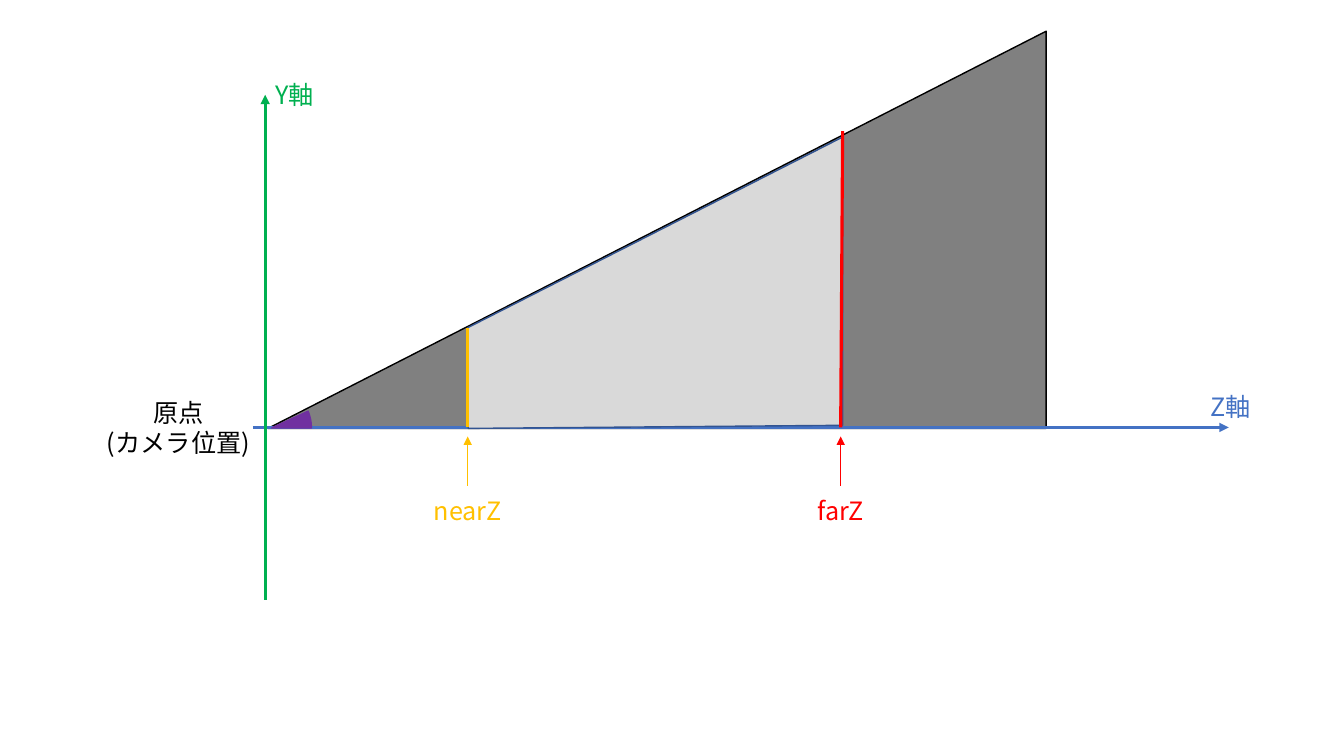
from dataclasses import dataclass

from lxml.etree import SubElement
from pptx import Presentation
from pptx.dml.color import RGBColor
from pptx.enum.shapes import MSO_CONNECTOR, MSO_SHAPE
from pptx.enum.text import MSO_AUTO_SIZE, PP_ALIGN
from pptx.oxml.ns import qn
from pptx.util import Pt


@dataclass(frozen=True)
class Theme:
    font: str = "Noto Sans CJK JP"
    text_size: float = 18
    thin: float = 1
    thick: float = 2.25
    black: str = "000000"
    clipped: str = "808080"
    visible: str = "D9D9D9"
    visible_edge: str = "325491"
    z_axis: str = "4472C4"
    y_axis: str = "00B050"
    near: str = "FFC000"
    far: str = "FF0000"
    angle: str = "7030A0"


@dataclass(frozen=True)
class Box:
    left: float
    top: float
    width: float
    height: float

    @property
    def right(self):
        return self.left + self.width

    @property
    def bottom(self):
        return self.top + self.height

    def lengths(self):
        return Pt(self.left), Pt(self.top), Pt(self.width), Pt(self.height)


THEME = Theme()
LABEL_WIDTH, LABEL_HEIGHT = 82.8, 29


def paint(shape, fill, line):
    shape.shadow.inherit = False
    shape.fill.solid()
    shape.fill.fore_color.rgb = RGBColor.from_string(fill)
    shape.line.color.rgb = RGBColor.from_string(line)
    shape.line.width = Pt(THEME.thin)


def add_line(slide, start, end, color, width, arrow=False):
    points = [Pt(value) for value in (*start, *end)]
    line = slide.shapes.add_connector(MSO_CONNECTOR.STRAIGHT, *points)
    line.line.color.rgb = RGBColor.from_string(color)
    line.line.width = Pt(width)
    if arrow:
        SubElement(line.line._get_or_add_ln(), qn("a:tailEnd"), type="triangle")
    SubElement(line.element.spPr, qn("a:effectLst"))


def add_label(slide, box, text, color, align=PP_ALIGN.LEFT):
    frame = slide.shapes.add_textbox(*box.lengths()).text_frame
    frame.word_wrap = True
    frame.auto_size = MSO_AUTO_SIZE.SHAPE_TO_FIT_TEXT
    frame.text = text
    for para in frame.paragraphs:
        para.alignment = align
        for span in para.runs:
            span.font.name = THEME.font
            span.font.size = Pt(THEME.text_size)
            span.font.color.rgb = RGBColor.from_string(color)
            SubElement(span.font._element, qn("a:ea"), typeface=THEME.font)


def add_view_triangle(slide, box):
    triangle = slide.shapes.add_shape(MSO_SHAPE.RIGHT_TRIANGLE, *box.lengths())
    triangle.element.spPr.find(qn("a:xfrm")).set("flipH", "1")
    paint(triangle, THEME.clipped, THEME.black)


def add_axes(slide, box):
    """Draw both axes through the camera, at the lower left corner of the box."""
    z_level, y_position = box.bottom - 0.7, box.left - 2.1
    add_line(slide, (box.left - 10.8, z_level), (box.right + 130.4, z_level),
             THEME.z_axis, THEME.thick, arrow=True)
    add_label(slide, Box(box.right + 110.2, box.bottom - 30.2, LABEL_WIDTH, LABEL_HEIGHT),
              "Z軸", THEME.z_axis)
    add_line(slide, (y_position, box.bottom + 122.4), (y_position, box.top + 45.4),
             THEME.y_axis, THEME.thick, arrow=True)
    add_label(slide, Box(y_position, box.top + 31, LABEL_WIDTH, LABEL_HEIGHT),
              "Y軸", THEME.y_axis)
    add_label(slide, Box(box.left - 128.1, box.bottom - 25.9, 128.2, 51),
              "原点\n(カメラ位置)", THEME.black, PP_ALIGN.CENTER)


def add_depth_markers(slide, box, near, far):
    markers = (("nearZ", near, THEME.near), ("farZ", far - 1.4, THEME.far))
    for name, depth, color in markers:
        position = box.left + depth
        add_line(slide, (position, box.bottom + 41), (position, box.bottom + 5.8),
                 color, THEME.thin, arrow=True)
        add_label(slide, Box(position - LABEL_WIDTH / 2, box.bottom + 43.9,
                             LABEL_WIDTH, LABEL_HEIGHT),
                  name, color, PP_ALIGN.CENTER)


def add_frustum(slide, box, near, far):
    """Draw the visible region between the near and far planes."""
    near_x, far_x = box.left + near, box.left + far
    slope = box.height / box.width
    near_top = box.bottom - near * slope + 0.9
    far_top = box.bottom - far * slope + 1.4
    corners = [(near_x + 0.4, box.bottom), (near_x, near_top),
               (far_x, far_top), (far_x, box.bottom - 2.2)]
    corners = [(Pt(x), Pt(y)) for x, y in corners]
    builder = slide.shapes.build_freeform(*corners[0])
    builder.add_line_segments(corners[1:], close=True)
    paint(builder.convert_to_shape(), THEME.visible, THEME.visible_edge)
    add_line(slide, (near_x, near_top), (near_x, box.bottom - 0.7),
             THEME.near, THEME.thick)
    add_line(slide, (far_x, far_top - 4.3), (far_x - 1.4, box.bottom - 0.7),
             THEME.far, THEME.thick)


def add_view_angle(slide, box):
    wedge_box = Box(box.left - 25.9, box.bottom - 30.2, 56.9, 59.8)
    wedge = slide.shapes.add_shape(MSO_SHAPE.PIE, *wedge_box.lengths())
    wedge.adjustments[0] = 201.17
    wedge.adjustments[1] = 0.1
    paint(wedge, THEME.angle, THEME.angle)


def main():
    deck = Presentation()
    deck.slide_width, deck.slide_height = Pt(960), Pt(540)
    slide = deck.slides.add_slide(deck.slide_layouts[6])
    view = Box(191.5, 22.3, 555.8, 283.7)
    near, far = 142.6, 410.4
    add_view_triangle(slide, view)
    add_axes(slide, view)
    add_depth_markers(slide, view, near, far)
    add_frustum(slide, view, near, far)
    add_view_angle(slide, view)
    deck.save("out.pptx")


if __name__ == "__main__":
    main()
